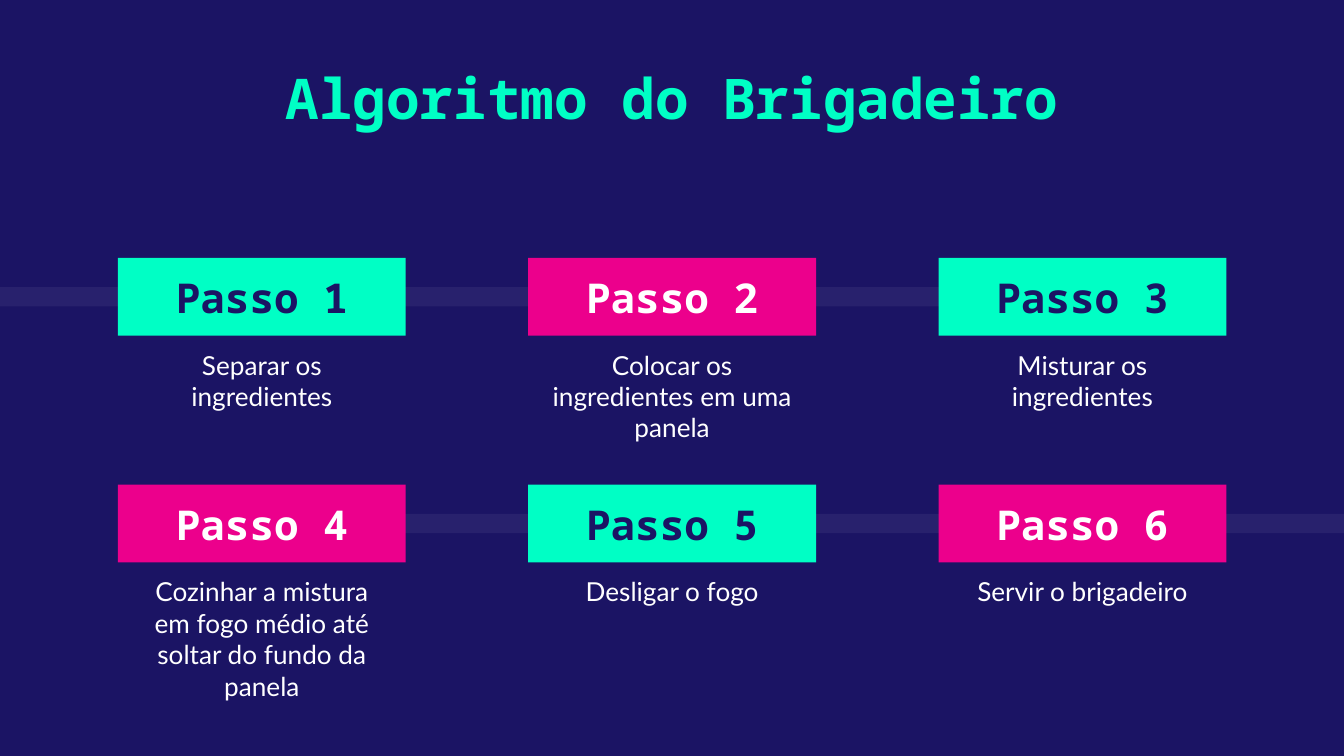
from lxml.etree import SubElement
from pptx import Presentation
from pptx.dml.color import RGBColor
from pptx.enum.shapes import MSO_SHAPE as Shape
from pptx.enum.text import MSO_ANCHOR as Anchor, MSO_AUTO_SIZE as AutoSize, PP_ALIGN as Align
from pptx.oxml.ns import qn
from pptx.util import Pt

NAVY, MINT, PINK, WHITE = "1B1464", "00FFC5", "EC008C", "FFFFFF"
HEADING_FONT, BODY_FONT = "Noto Sans Mono", "Lato"

STEPS = [
    "Separar os ingredientes",
    "Colocar os ingredientes em uma panela",
    "Misturar os ingredientes",
    "Cozinhar a mistura em fogo médio até soltar do fundo da panela",
    "Desligar o fogo",
    "Servir o brigadeiro",
]
COLUMNS = 3
STEP_WIDTH, LABEL_HEIGHT = 154.2, 41.6


def rgb(value):
    return RGBColor.from_string(value)


def set_text(box, text, color, font, size, bold=False, anchor=Anchor.TOP):
    frame = box.text_frame
    frame.text = text
    frame_format = {
        "word_wrap": True, "auto_size": AutoSize.NONE, "vertical_anchor": anchor,
        "margin_left": Pt(7.2), "margin_right": Pt(7.2),
        "margin_top": Pt(7.2), "margin_bottom": Pt(7.2),
    }
    for name, value in frame_format.items():
        setattr(frame, name, value)
    paragraph = frame.paragraphs[0]
    paragraph.alignment = Align.CENTER
    run_font = paragraph.runs[0].font
    for name, value in {"name": font, "size": Pt(size), "bold": bold}.items():
        setattr(run_font, name, value)
    run_font.color.rgb = rgb(color)


def add_rectangle(slide, left, top, width, height, color):
    rectangle = slide.shapes.add_shape(
        Shape.RECTANGLE, Pt(left), Pt(top), Pt(width), Pt(height))
    rectangle.shadow.inherit = False
    rectangle.fill.solid()
    rectangle.fill.fore_color.rgb = rgb(color)
    rectangle.line.fill.background()
    return rectangle


def add_band(slide, left, top, width, height):
    """Add a faint white stripe that runs behind a row of steps."""
    band = add_rectangle(slide, left, top, width, height, WHITE)
    white = band.fill._xPr.find(f"{qn('a:solidFill')}/{qn('a:srgbClr')}")
    SubElement(white, qn("a:alpha"), val="6000")


def add_title(slide, left, top, width, height):
    title = slide.shapes.title
    box = {"left": left, "top": top, "width": width, "height": height}
    for name, value in box.items():
        setattr(title, name, Pt(value))
    set_text(title, "Algoritmo do Brigadeiro", MINT, HEADING_FONT, 30, bold=True)


def add_step(slide, left, top, number, description, fill, label_color):
    label = add_rectangle(slide, left, top, STEP_WIDTH, LABEL_HEIGHT, fill)
    set_text(label, f"Passo {number}", label_color, HEADING_FONT, 22,
             bold=True, anchor=Anchor.BOTTOM)
    detail = slide.shapes.add_textbox(
        Pt(left + 2.5), Pt(top + LABEL_HEIGHT), Pt(STEP_WIDTH - 5), Pt(52.5))
    set_text(detail, description, WHITE, BODY_FONT, 14)


def add_steps(slide, left, top, column_pitch, row_pitch):
    for index, description in enumerate(STEPS):
        row, column = divmod(index, COLUMNS)
        fill, label_color = (PINK, WHITE) if index % 2 else (MINT, NAVY)
        add_step(slide, left + column * column_pitch, top + row * row_pitch,
                 index + 1, description, fill, label_color)


def main():
    deck = Presentation()
    deck.slide_width, deck.slide_height = Pt(720), Pt(405)
    slide = deck.slides.add_slide(deck.slide_layouts[5])
    slide.background.fill.solid()
    slide.background.fill.fore_color.rgb = rgb(NAVY)
    add_band(slide, 0, 153.8, 613.4, 10.3)
    add_band(slide, 73.4, 275.3, 646.6, 10.3)
    add_title(slide, 100.8, 26.7, 518.4, 52.5)
    add_steps(slide, 63.2, 138.2, column_pitch=219.8, row_pitch=121.5)
    deck.save("out.pptx")


if __name__ == "__main__":
    main()
